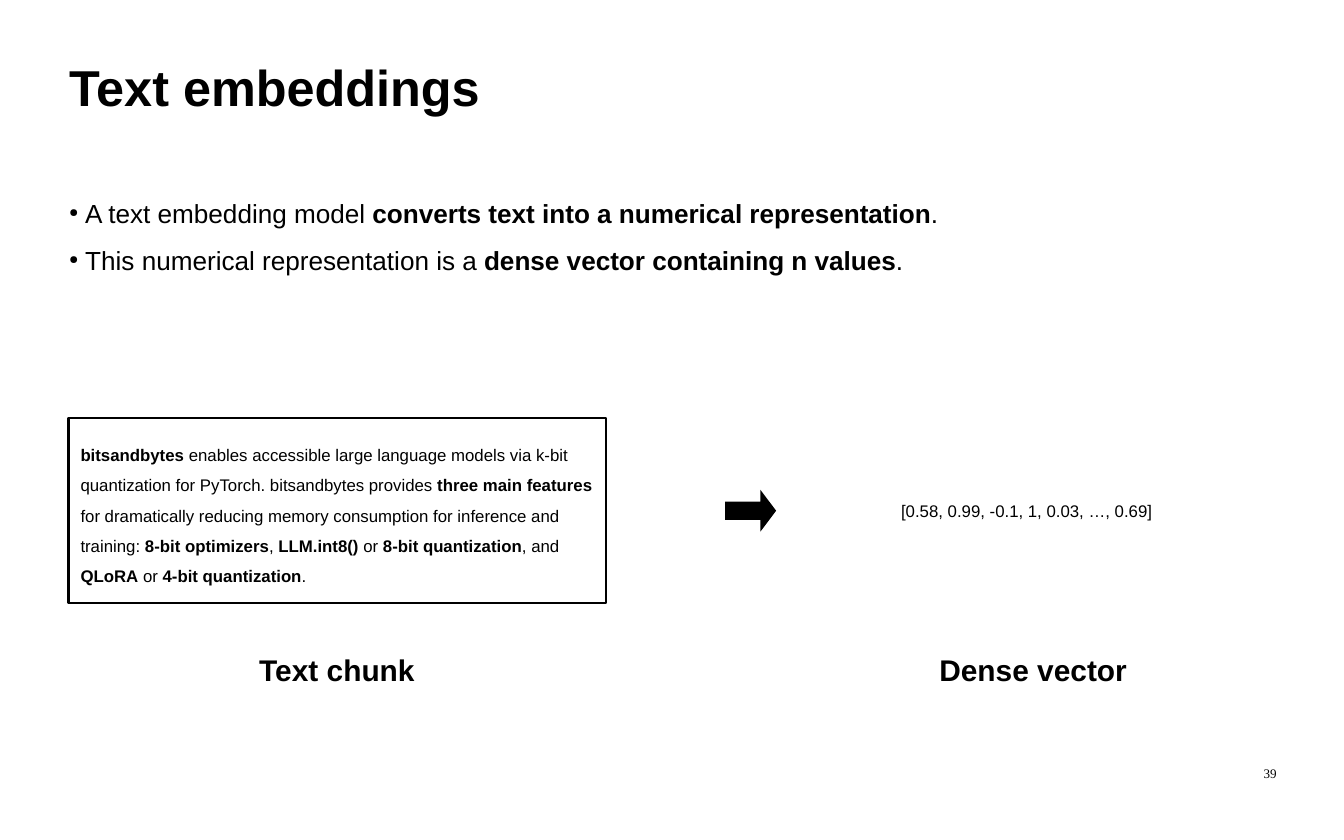
from lxml.etree import SubElement
from pptx import Presentation
from pptx.dml.color import RGBColor
from pptx.enum.shapes import MSO_SHAPE
from pptx.enum.text import MSO_ANCHOR, MSO_AUTO_SIZE, PP_ALIGN
from pptx.oxml.ns import qn
from pptx.util import Inches, Pt

BLACK = "000000"
BULLETS = (
    "A text embedding model **converts text into a numerical representation**.",
    "This numerical representation is a **dense vector containing n values**.",
)
CHUNK = (
    "**bitsandbytes** enables accessible large language models via k-bit quantization "
    "for PyTorch. bitsandbytes provides **three main features** for dramatically "
    "reducing memory consumption for inference and training: **8-bit optimizers**, "
    "**LLM.int8()** or **8-bit quantization**, and **QLoRA** or **4-bit quantization**."
)
VECTOR = "[0.58, 0.99, -0.1, 1, 0.03, …, 0.69]"


def color(hex_code):
    """Turn a hex string into a colour."""
    return RGBColor.from_string(hex_code)


def place(shape, left, top, width, height):
    """Move and size a shape, in inches."""
    shape.left, shape.top = Inches(left), Inches(top)
    shape.width, shape.height = Inches(width), Inches(height)


def add_bullet(paragraph):
    """Give a paragraph a small round bullet with a hanging indent."""
    properties = paragraph._p.get_or_add_pPr()
    properties.set("marL", str(Inches(0.24)))
    properties.set("indent", str(-Inches(0.24)))
    bullet_color = SubElement(properties, qn("a:buClr"))
    SubElement(bullet_color, qn("a:srgbClr"), val=BLACK)
    SubElement(properties, qn("a:buSzPct"), val="45000")
    SubElement(properties, qn("a:buChar"), char="●")


def write_text(shape, *lines, size, font="Arial", bold=False, align=PP_ALIGN.LEFT,
               anchor=MSO_ANCHOR.TOP, spacing=1.0, bullets=False, inset=True):
    """Write one paragraph per line, with bold parts between double asterisks."""
    frame = shape.text_frame
    frame.word_wrap = True
    frame.auto_size = MSO_AUTO_SIZE.NONE
    frame.vertical_anchor = anchor
    frame.margin_left = frame.margin_right = Inches(0.1 if inset else 0)
    frame.margin_top = frame.margin_bottom = Inches(0.05 if inset else 0)
    for index, line in enumerate(lines):
        paragraph = frame.add_paragraph() if index else frame.paragraphs[0]
        if bullets:
            add_bullet(paragraph)
        paragraph.alignment = align
        paragraph.line_spacing = spacing
        for part, words in enumerate(line.split("**")):
            if words:
                run = paragraph.add_run()
                run.text = words
                run.font.name = font
                run.font.size = Pt(size)
                run.font.bold = bold or part % 2 == 1
                run.font.color.rgb = color(BLACK)


def add_text(slide, box, *lines, **text_format):
    """Add a text box holding formatted lines."""
    write_text(slide.shapes.add_textbox(*map(Inches, box)), *lines, **text_format)


def add_arrow(slide, box):
    """Add a solid arrow pointing right."""
    arrow = slide.shapes.add_shape(MSO_SHAPE.RIGHT_ARROW, *map(Inches, box))
    arrow.adjustments[0], arrow.adjustments[1] = 0.435, 0.376
    arrow.shadow.inherit = False
    arrow.fill.solid()
    arrow.fill.fore_color.rgb = color(BLACK)
    arrow.line.fill.background()


def add_frame(slide, box):
    """Add an unfilled rectangle with a black outline."""
    frame = slide.shapes.add_shape(MSO_SHAPE.RECTANGLE, *map(Inches, box))
    frame.shadow.inherit = False
    frame.fill.background()
    frame.line.color.rgb = color(BLACK)
    frame.line.width = Pt(2.3)


def main():
    """Build the text embeddings slide."""
    deck = Presentation()
    deck.slide_width, deck.slide_height = Inches(20), Inches(12.5)
    slide = deck.slides.add_slide(deck.slide_layouts[5])

    title = slide.shapes.title
    place(title, 0.93, 0.51, 17.03, 1.56)
    write_text(title, "Text embeddings", size=54, bold=True, anchor=MSO_ANCHOR.MIDDLE)
    add_text(slide, (0.93, 2.66, 16.57, 1.4), *BULLETS, size=28, spacing=1.5, bullets=True)

    add_text(slide, (1.1, 6.22, 8, 2.75), CHUNK, size=18, spacing=1.5,
             anchor=MSO_ANCHOR.MIDDLE)
    add_arrow(slide, (10.79, 7.29, 0.76, 0.62))
    add_frame(slide, (1.02, 6.22, 8, 2.75))
    add_text(slide, (13.31, 7.41, 4.13, 0.38), VECTOR, size=18, anchor=MSO_ANCHOR.MIDDLE)

    for caption, left, width in (("Text chunk", 3.64, 2.75), ("Dense vector", 13.75, 3.25)):
        add_text(slide, (left, 9.65, width, 0.6), caption, size=32, bold=True,
                 align=PP_ALIGN.CENTER)
    add_text(slide, (14.34, 11.39, 4.66, 0.86), "39", size=14, font="Times New Roman",
             align=PP_ALIGN.RIGHT, inset=False)
    deck.save("out.pptx")


if __name__ == "__main__":
    main()
